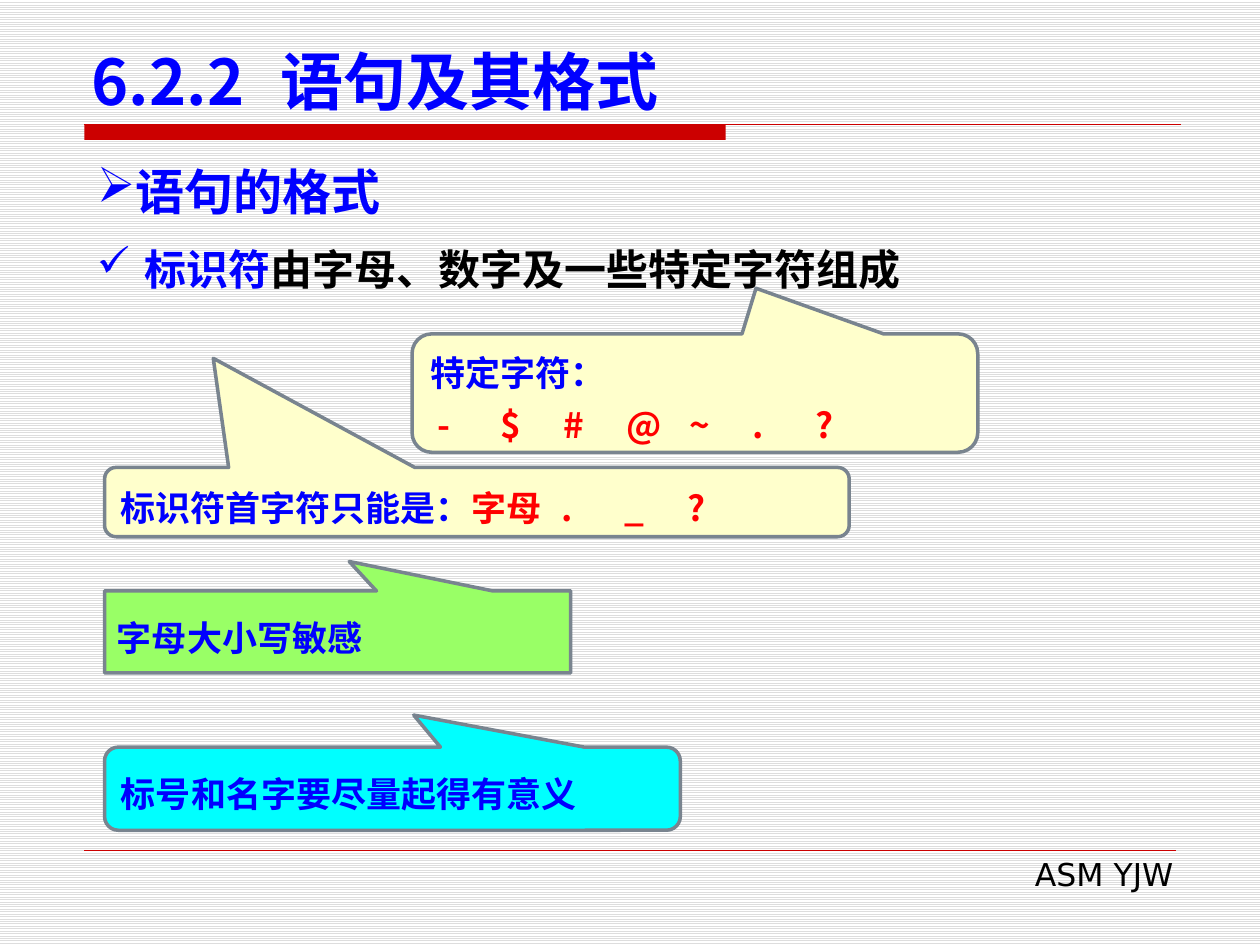
from pptx import Presentation
from pptx.dml.color import RGBColor
from pptx.enum.dml import MSO_PATTERN
from pptx.enum.shapes import MSO_CONNECTOR, MSO_SHAPE
from pptx.enum.text import MSO_ANCHOR, PP_ALIGN
from pptx.oxml.ns import qn
from pptx.util import Inches, Pt
from lxml import etree

STRAIGHT = MSO_CONNECTOR.STRAIGHT
RECTANGLE = MSO_SHAPE.RECTANGLE
SQUARE_CALLOUT = MSO_SHAPE.RECTANGULAR_CALLOUT
ROUND_CALLOUT = MSO_SHAPE.ROUNDED_RECTANGULAR_CALLOUT
TOP, MIDDLE, BOTTOM = MSO_ANCHOR.TOP, MSO_ANCHOR.MIDDLE, MSO_ANCHOR.BOTTOM
LEFT, RIGHT, JUSTIFY = PP_ALIGN.LEFT, PP_ALIGN.RIGHT, PP_ALIGN.JUSTIFY

BLACK = RGBColor(0, 0, 0)
WHITE = RGBColor(255, 255, 255)
STRIPE = RGBColor(0xDD, 0xDD, 0xDD)
BLUE = RGBColor(0, 0, 255)
RED = RGBColor(255, 0, 0)
RULE_RED = RGBColor(0xCC, 0, 0)
OUTLINE = RGBColor(0x79, 0x84, 0x8F)
GREEN = RGBColor(0x99, 0xFF, 0x66)
CYAN = RGBColor(0, 255, 255)
CREAM = RGBColor(255, 255, 0xCC)
SANS, NOTO = "DejaVu Sans", "Noto Sans CJK SC"

MARGIN = 0.67
CALLOUT_LEFT = 0.83

TEXTS = [
    dict(box=(0.63, 0.33, 8.75, 0.66), runs=[("6.2.2\t语句及其格式", BLUE)],
         size=36, font=NOTO, anchor=BOTTOM, tabs=[1.55]),
    dict(box=(MARGIN, 1.23, 8.66, 0.57), runs=[("语句的格式", BLUE)],
         size=28, font=SANS, align=JUSTIFY, bullet="➢"),
    dict(box=(MARGIN, 1.78, 8.58, 0.54),
         runs=[("标识符", BLUE), ("由字母、数字及一些特定字符组成", BLACK)],
         size=24, font=NOTO, bullet="✓", hanging=0.38, spacing=36),
    dict(box=(3.82, 6.74, 5.59, 0.4), runs=[("ASM YJW", BLACK)],
         size=18, font=SANS, bold=False, align=RIGHT),
]

CALLOUTS = [
    (SQUARE_CALLOUT, (CALLOUT_LEFT, 4.69, 3.7, 0.65), (0.025, -0.86), GREEN, SANS,
     [dict(runs=[("字母大小写敏感", BLUE)])]),
    (ROUND_CALLOUT, (CALLOUT_LEFT, 5.93, 4.57, 0.66), (0.037, -0.886), CYAN, SANS,
     [dict(runs=[("标号和名字要尽量起得有意义", BLUE)])]),
    (ROUND_CALLOUT, (3.27, 2.65, 4.49, 0.94), (0.108, -0.885), CREAM, NOTO,
     [dict(runs=[("特定字符：", BLUE)]),
      dict(runs=[("-\t$\t#\t@\t~\t.\t?", RED)], margin=0.06,
           tabs=[0.36, 0.71, 1.06, 1.53, 1.89, 2.16])]),
    (ROUND_CALLOUT, (CALLOUT_LEFT, 3.71, 5.91, 0.55), (-0.354, -2.075), CREAM, NOTO,
     [dict(runs=[("标识符首字符只能是：", BLUE), ("字母\t.\t_\t?", RED)],
           tabs=[3.55, 3.88, 4.28])]),
]


def write_paragraph(paragraph, runs, size, font, bold=True, align=LEFT, bullet=None,
                    hanging=0, margin=0, spacing=None, tabs=()):
    paragraph.alignment = align
    if spacing:
        paragraph.line_spacing = Pt(spacing)
    properties = paragraph._p.get_or_add_pPr()
    properties.set("marL", str(Inches(margin + hanging)))
    properties.set("indent", str(Inches(-hanging)))
    if bullet:
        etree.SubElement(properties, qn("a:buChar"), char=bullet)
    if tabs:
        tab_list = etree.SubElement(properties, qn("a:tabLst"))
        for position in tabs:
            etree.SubElement(tab_list, qn("a:tab"), pos=str(Inches(position)), algn="l")
    paragraph.font.size = Pt(size)
    paragraph.font.name = font
    paragraph.font.bold = bold
    for text, color in runs:
        run = paragraph.add_run()
        run.text = text
        run.font.color.rgb = color


def add_text(slide, box, anchor=TOP, **style):
    frame = slide.shapes.add_textbox(*map(Inches, box)).text_frame
    frame.word_wrap = True
    frame.vertical_anchor = anchor
    write_paragraph(frame.paragraphs[0], **style)


def add_callout(slide, kind, box, tip, color, font, paragraphs):
    shape = slide.shapes.add_shape(kind, *map(Inches, box))
    shape.shadow.inherit = False
    for index, value in enumerate(tip):
        shape.adjustments[index] = value
    shape.fill.solid()
    shape.fill.fore_color.rgb = color
    shape.line.color.rgb = OUTLINE
    shape.line.width = Pt(2)
    frame = shape.text_frame
    frame.word_wrap = True
    frame.vertical_anchor = MIDDLE
    for index, content in enumerate(paragraphs):
        paragraph = frame.add_paragraph() if index else frame.paragraphs[0]
        write_paragraph(paragraph, size=20, font=font, spacing=30, **content)


def add_rule(slide, right, top, width):
    rule = slide.shapes.add_connector(
        STRAIGHT, Inches(MARGIN), Inches(top), Inches(right), Inches(top))
    rule.line.color.rgb = RULE_RED
    rule.line.width = Pt(width)
    etree.SubElement(rule._element.spPr, qn("a:effectLst"))


def main():
    presentation = Presentation()
    presentation.slide_width, presentation.slide_height = Inches(10), Inches(7.5)
    slide = presentation.slides.add_slide(presentation.slide_layouts[6])
    background = slide.background.fill
    background.patterned()
    background.pattern = MSO_PATTERN.LIGHT_HORIZONTAL
    background.fore_color.rgb = STRIPE
    background.back_color.rgb = WHITE

    bar = slide.shapes.add_shape(
        RECTANGLE, Inches(MARGIN), Inches(0.99), Inches(5.09), Inches(0.12))
    bar.shadow.inherit = False
    bar.fill.solid()
    bar.fill.fore_color.rgb = RULE_RED
    bar.line.fill.background()
    add_rule(slide, 9.37, 0.99, 0.75)
    add_rule(slide, 9.33, 6.75, 0.25)

    for text in TEXTS:
        add_text(slide, **text)
    for callout in CALLOUTS:
        add_callout(slide, *callout)
    presentation.save("out.pptx")


if __name__ == "__main__":
    main()
